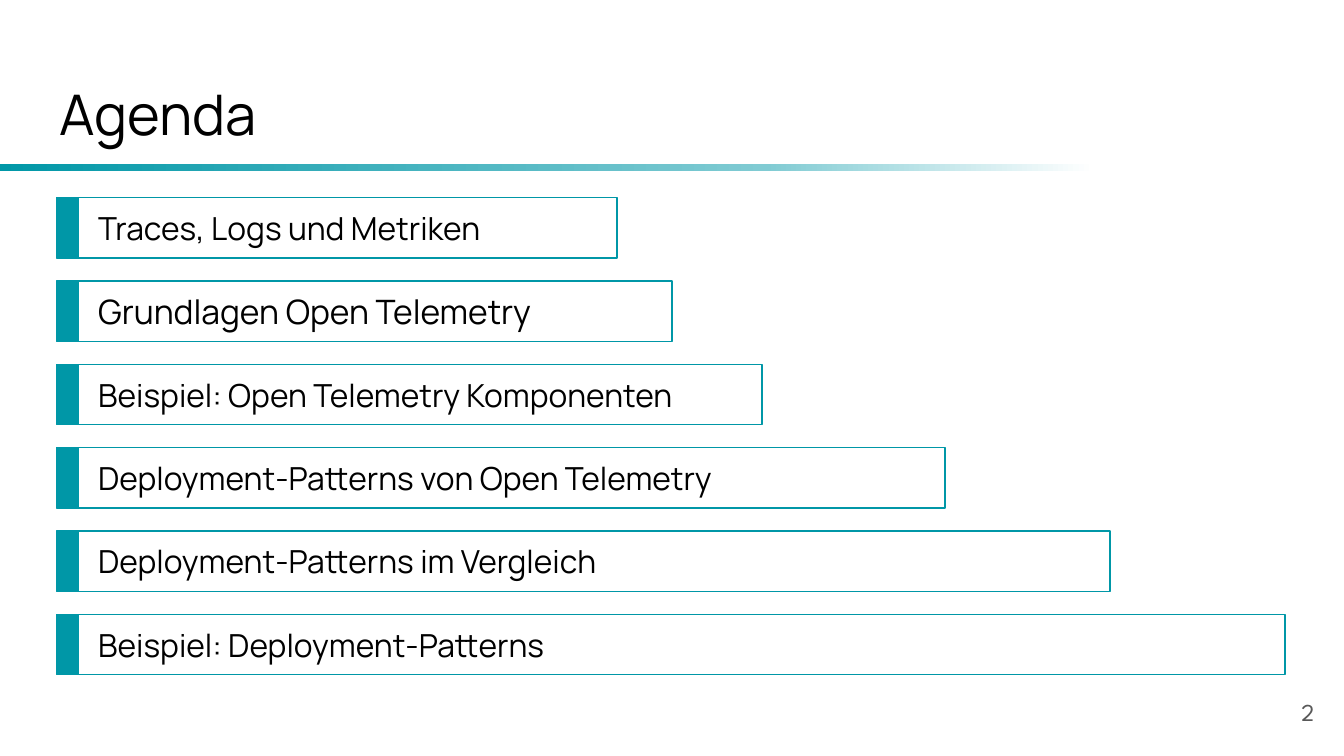
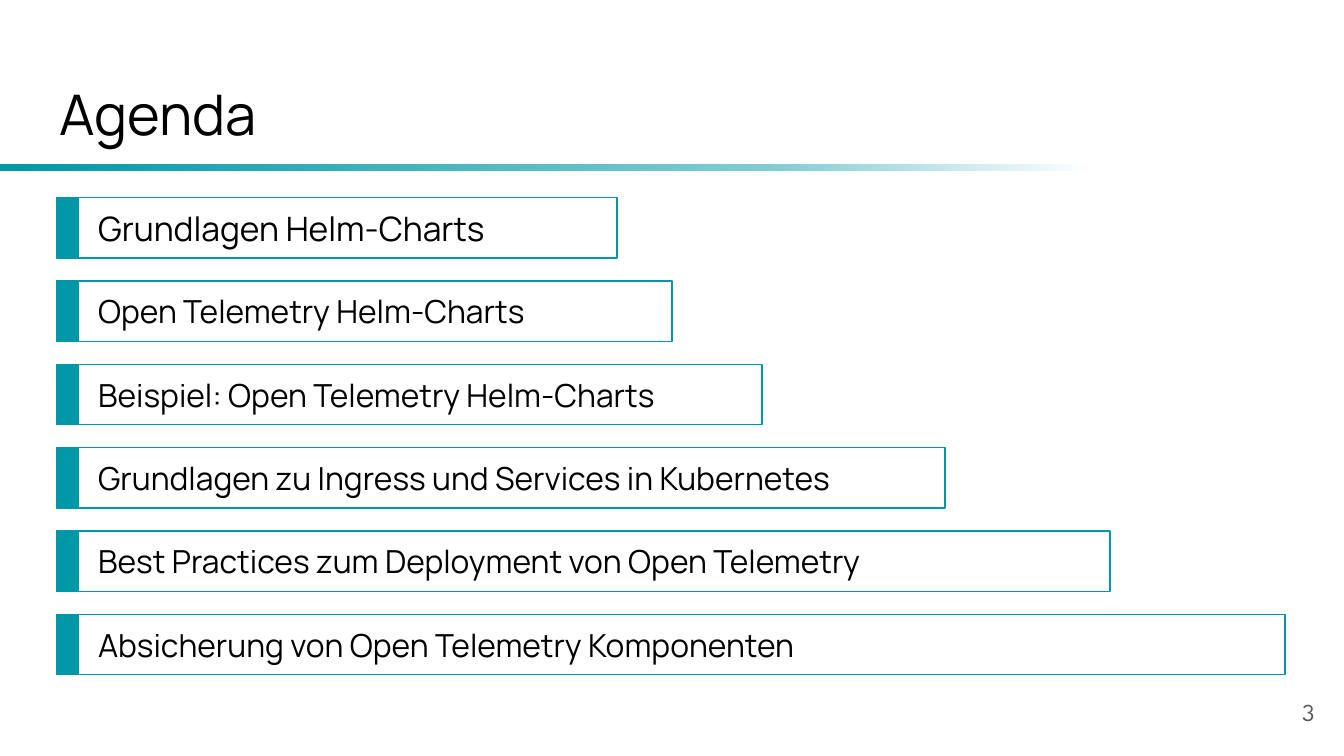
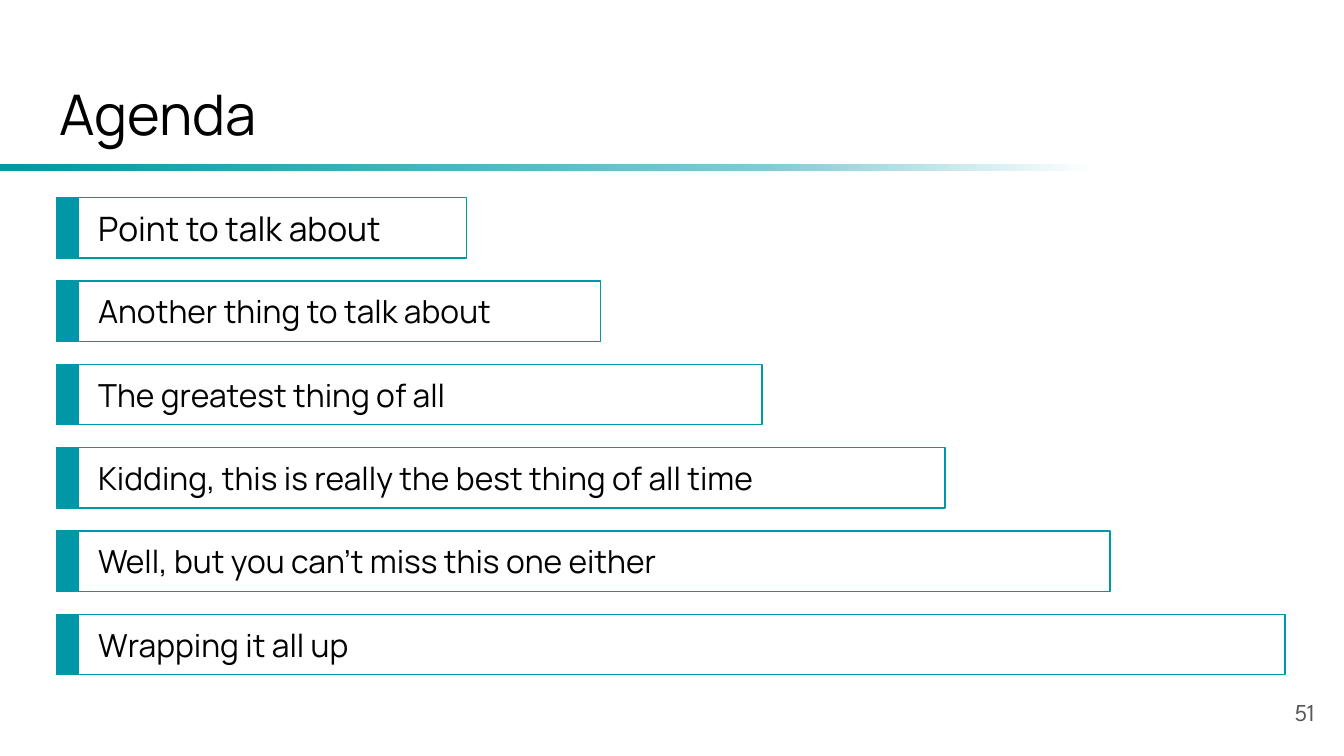
"""Build three agenda slides with stepped boxes under a shared gradient rule."""
from lxml.etree import SubElement
from pptx import Presentation
from pptx.dml.color import RGBColor
from pptx.enum.shapes import MSO_SHAPE
from pptx.enum.text import MSO_ANCHOR, MSO_AUTO_SIZE, PP_ALIGN
from pptx.oxml.ns import qn
from pptx.util import Inches, Pt

TITLE = "Agenda"
LATER_WIDTHS = [5.09, 6.45, 7.68, 8.98]
AGENDAS = [
    dict(number="2", large_row=1, widths=[4.01, 4.42] + LATER_WIDTHS, points=[
        "Traces, Logs und Metriken",
        "Grundlagen Open Telemetry",
        "Beispiel: Open Telemetry Komponenten",
        "Deployment-Patterns von Open Telemetry",
        "Deployment-Patterns im Vergleich",
        "Beispiel: Deployment-Patterns",
    ]),
    dict(number="3", large_row=0, widths=[4.01, 4.42] + LATER_WIDTHS, points=[
        "Grundlagen Helm-Charts",
        "Open Telemetry Helm-Charts",
        "Beispiel: Open Telemetry Helm-Charts",
        "Grundlagen zu Ingress und Services in Kubernetes",
        "Best Practices zum Deployment von Open Telemetry",
        "Absicherung von Open Telemetry Komponenten",
    ]),
    dict(number="51", large_row=0, widths=[2.89, 3.89] + LATER_WIDTHS, points=[
        "Point to talk about",
        "Another thing to talk about",
        "The greatest thing of all",
        "Kidding, this is really the best thing of all time",
        "Well, but you can’t miss this one either",
        "Wrapping it all up",
    ]),
]

TEAL, BLACK, GREY = "0097A7", "000000", "595959"
RULE_STOPS = [(0, TEAL), (70, "80CBD3"), (100, "FFFFFF")]
BODY_FONT, NUMBER_FONT = "Manrope", "League Spartan"
ROW_TOP, ROW_PITCH, ROW_HEIGHT = 1.47, 0.62, 0.45
TAB_LEFT, TAB_WIDTH = 0.42, 0.16


def rgb(color):
    return RGBColor.from_string(color)


def set_text(sp, text, size, font=BODY_FONT, color=BLACK, align=PP_ALIGN.LEFT,
             anchor=MSO_ANCHOR.TOP, left_inset=0.1):
    tf = sp.text_frame
    tf.text = text
    tf.word_wrap = True
    tf.auto_size = MSO_AUTO_SIZE.NONE
    tf.vertical_anchor = anchor
    tf.margin_left = Inches(left_inset)
    tf.margin_right = tf.margin_top = tf.margin_bottom = Inches(0.1)
    p = tf.paragraphs[0]
    p.alignment = align
    f = p.runs[0].font
    f.name, f.size, f.color.rgb = font, Pt(size), rgb(color)


def add_box(s, kind, left, top, width, height, fill=None, line=None):
    sp = s.shapes.add_shape(kind, *map(Inches, (left, top, width, height)))
    sp.shadow.inherit = False
    if fill:
        sp.fill.solid()
        sp.fill.fore_color.rgb = rgb(fill)
    else:
        sp.fill.background()
    if line:
        sp.line.color.rgb = rgb(line)
        sp.line.width = Pt(0.75)
    else:
        sp.line.fill.background()
    return sp


def add_layout_rule(s):
    rule = add_box(s, MSO_SHAPE.RECTANGLE, 4.04, -2.83, 0.05, 8.15)
    rule.rotation = 270
    rule.fill.gradient()
    rule.fill.gradient_angle = 270
    stops = rule.element.spPr.find(qn("a:gradFill")).find(qn("a:gsLst"))
    stops.clear()
    for share, color in RULE_STOPS:
        stop = SubElement(stops, qn("a:gs"), pos=str(share * 1000))
        SubElement(stop, qn("a:srgbClr"), val=color)
    s.slide_layout.shapes.element.append(rule.element)


def add_agenda(s, agenda):
    title = s.shapes.title
    title.left, title.top, title.width, title.height = map(
        Inches, (0.34, 0.49, 9.32, 0.63))
    set_text(title, TITLE, 30)
    number = s.shapes.add_textbox(*map(Inches, (9.28, 5.09, 0.6, 0.43)))
    set_text(number, agenda["number"], 13, NUMBER_FONT, GREY, PP_ALIGN.RIGHT)
    tops = [ROW_TOP + row * ROW_PITCH for row in range(len(agenda["points"]))]
    for row, (top, point, width) in enumerate(
            zip(tops, agenda["points"], agenda["widths"])):
        label = add_box(s, MSO_SHAPE.FLOWCHART_PROCESS, TAB_LEFT + TAB_WIDTH, top,
                        width, ROW_HEIGHT, line=TEAL)
        set_text(label, point, 18 if row == agenda["large_row"] else 17,
                 anchor=MSO_ANCHOR.MIDDLE, left_inset=0.15)
    for top in tops:
        add_box(s, MSO_SHAPE.RECTANGLE, TAB_LEFT, top, TAB_WIDTH, ROW_HEIGHT,
                fill=TEAL, line=TEAL)


def main():
    prs = Presentation()
    prs.slide_width = Inches(10)
    prs.slide_height = prs.slide_width * 9 // 16
    layout = prs.slide_layouts.get_by_name("Title Only")
    for agenda in AGENDAS:
        add_agenda(prs.slides.add_slide(layout), agenda)
    add_layout_rule(prs.slides[0])
    prs.save("out.pptx")


if __name__ == "__main__":
    main()
